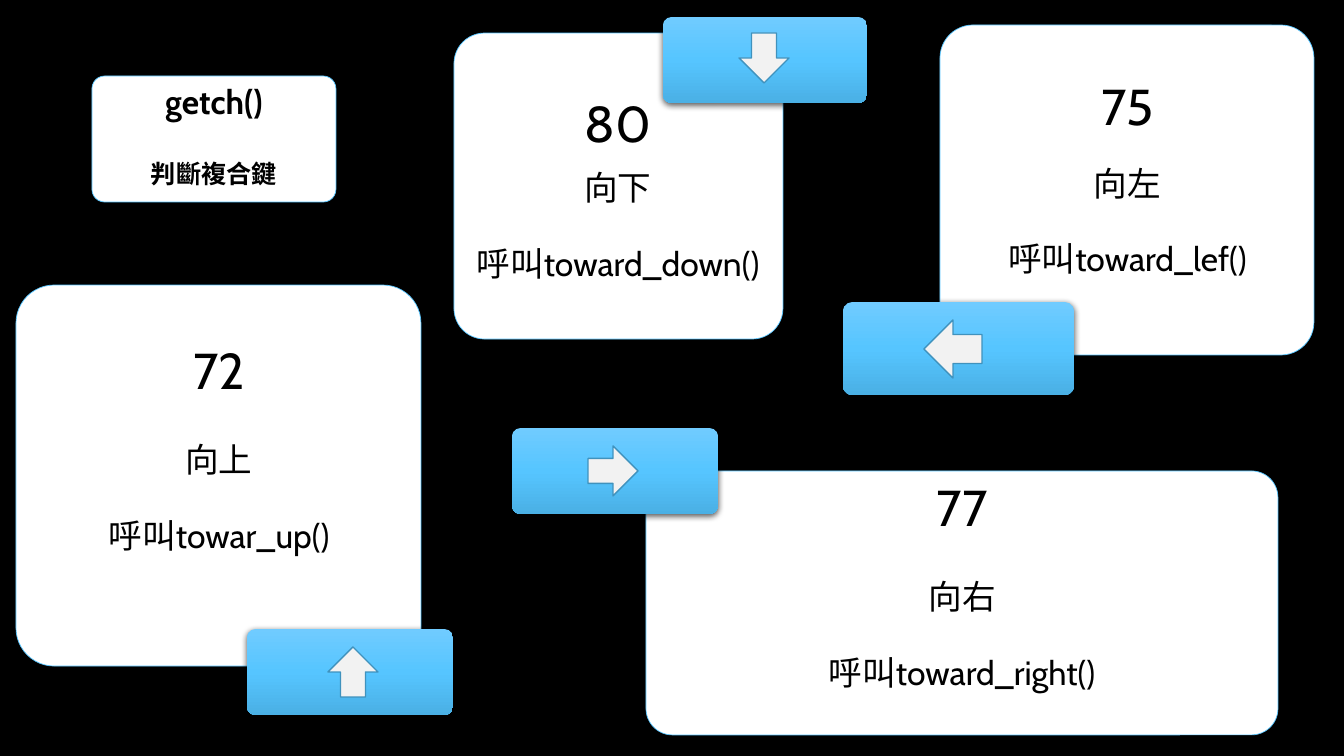
from copy import deepcopy
from dataclasses import dataclass
from typing import Optional

from lxml.etree import SubElement
from pptx import Presentation
from pptx.dml.color import RGBColor
from pptx.enum.shapes import MSO_SHAPE
from pptx.enum.text import MSO_ANCHOR, PP_ALIGN
from pptx.oxml.ns import qn
from pptx.util import Emu, Pt

BLACK = RGBColor(0x00, 0x00, 0x00)
WHITE = RGBColor(0xFF, 0xFF, 0xFF)
SKY = RGBColor(0x56, 0xC5, 0xFF)
SHADES = [RGBColor(0x70, 0xCB, 0xFF), SKY, RGBColor(0x4A, 0xB0, 0xE5)]
PALE = RGBColor(0xF2, 0xF2, 0xF2)
STEEL = RGBColor(0x40, 0x92, 0xBD)
FONT = "Cabin"
WIDTH, HEIGHT = 1344, 756
SCALE = 12192000 / WIDTH

Box = tuple[int, int, int, int]


@dataclass
class Line:
    text: str
    size: int
    before: int = 0  # points
    bold: bool = False


@dataclass
class Key:
    button: Box
    arrow: Box
    turn: int


@dataclass
class Card:
    box: Box
    label: Box
    lines: list[Line]
    key: Optional[Key] = None


def code_lines(code: str, way: str, call: str, gap: int) -> list[Line]:
    return [Line(code, 36), Line(way, 24, gap), Line(f"呼叫{call}", 24, 28)]


CARDS = [
    Card((16, 285, 405, 381), (24, 340, 390, 236),
         code_lines("72", "向上", "towar_up()", 31),
         Key((247, 629, 206, 86), (328, 647, 50, 50), 0)),
    Card((454, 33, 329, 306), (460, 93, 316, 227),
         code_lines("80", "向下", "toward_down()", 13),
         Key((663, 17, 204, 86), (739, 33, 50, 50), 180)),
    Card((940, 25, 374, 330), (948, 76, 359, 244),
         code_lines("75", "向左", "toward_lef()", 22),
         Key((843, 302, 231, 93), (924, 320, 58, 58), 270)),
    Card((646, 471, 632, 264), (658, 477, 608, 196),
         code_lines("77", "向右", "toward_right()", 31),
         Key((512, 428, 206, 86), (588, 446, 50, 50), 90)),
    Card((92, 76, 244, 126), (97, 79, 234, 93),
         [Line("getch()", 24, bold=True), Line("判斷複合鍵", 18, 29, True)]),
]


def px(length: int) -> Emu:
    return Emu(round(length * SCALE))


def add_shape(slide, kind: MSO_SHAPE, box: Box):
    shape = slide.shapes.add_shape(kind, *map(px, box))
    shape.shadow.inherit = False
    if kind == MSO_SHAPE.ROUNDED_RECTANGLE:
        shape.adjustments[0] = 0.1
    return shape


def paint(shape, fill: RGBColor, line: RGBColor, width: float) -> None:
    shape.fill.solid()
    shape.fill.fore_color.rgb = fill
    shape.line.color.rgb = line
    shape.line.width = Pt(width)


def add_label(slide, box: Box, lines: list[Line]) -> None:
    frame = slide.shapes.add_textbox(*map(px, box)).text_frame
    frame.word_wrap = True
    frame.vertical_anchor = MSO_ANCHOR.TOP
    frame.margin_left = frame.margin_right = px(6)
    frame.margin_top = frame.margin_bottom = px(6)
    for i, line in enumerate(lines):
        para = frame.add_paragraph() if i else frame.paragraphs[0]
        para.text = line.text
        para.alignment = PP_ALIGN.CENTER
        para.line_spacing = 0.9
        para.space_before = Pt(line.before)
        para.font.name = FONT
        para.font.size = Pt(line.size)
        para.font.bold = line.bold
        para.font.color.rgb = BLACK


def add_button(slide, box: Box) -> None:
    button = add_shape(slide, MSO_SHAPE.ROUNDED_RECTANGLE, box)
    button.line.fill.background()
    button.fill.gradient()
    button.fill.gradient_angle = 270

    # Third gradient stop
    props = button._element.spPr
    stops = props.find(qn("a:gradFill")).find(qn("a:gsLst"))
    stops.append(deepcopy(stops[-1]))
    for i, (stop, shade) in enumerate(zip(button.fill.gradient_stops, SHADES)):
        stop.position = i / 2
        stop.color.rgb = shade

    # Soft shadow below
    shadow = SubElement(props.find(qn("a:effectLst")), qn("a:outerShdw"),
                        blurRad=str(Pt(4.5)), dist=str(Pt(1.5)),
                        dir="5400000", rotWithShape="0")
    color = SubElement(shadow, qn("a:srgbClr"), val=str(BLACK))
    SubElement(color, qn("a:alpha"), val="63000")


def add_card(slide, card: Card) -> None:
    panel = add_shape(slide, MSO_SHAPE.ROUNDED_RECTANGLE, card.box)
    paint(panel, WHITE, SKY, 0.5)
    add_label(slide, card.label, card.lines)
    if card.key:
        add_button(slide, card.key.button)
        arrow = add_shape(slide, MSO_SHAPE.UP_ARROW, card.key.arrow)
        arrow.rotation = card.key.turn
        paint(arrow, PALE, STEEL, 1)


def main() -> None:
    deck = Presentation()
    deck.slide_width, deck.slide_height = px(WIDTH), px(HEIGHT)
    slide = deck.slides.add_slide(deck.slide_layouts[6])
    slide.background.fill.solid()
    slide.background.fill.fore_color.rgb = BLACK
    for card in CARDS:
        add_card(slide, card)
    deck.save("out.pptx")


if __name__ == "__main__":
    main()
